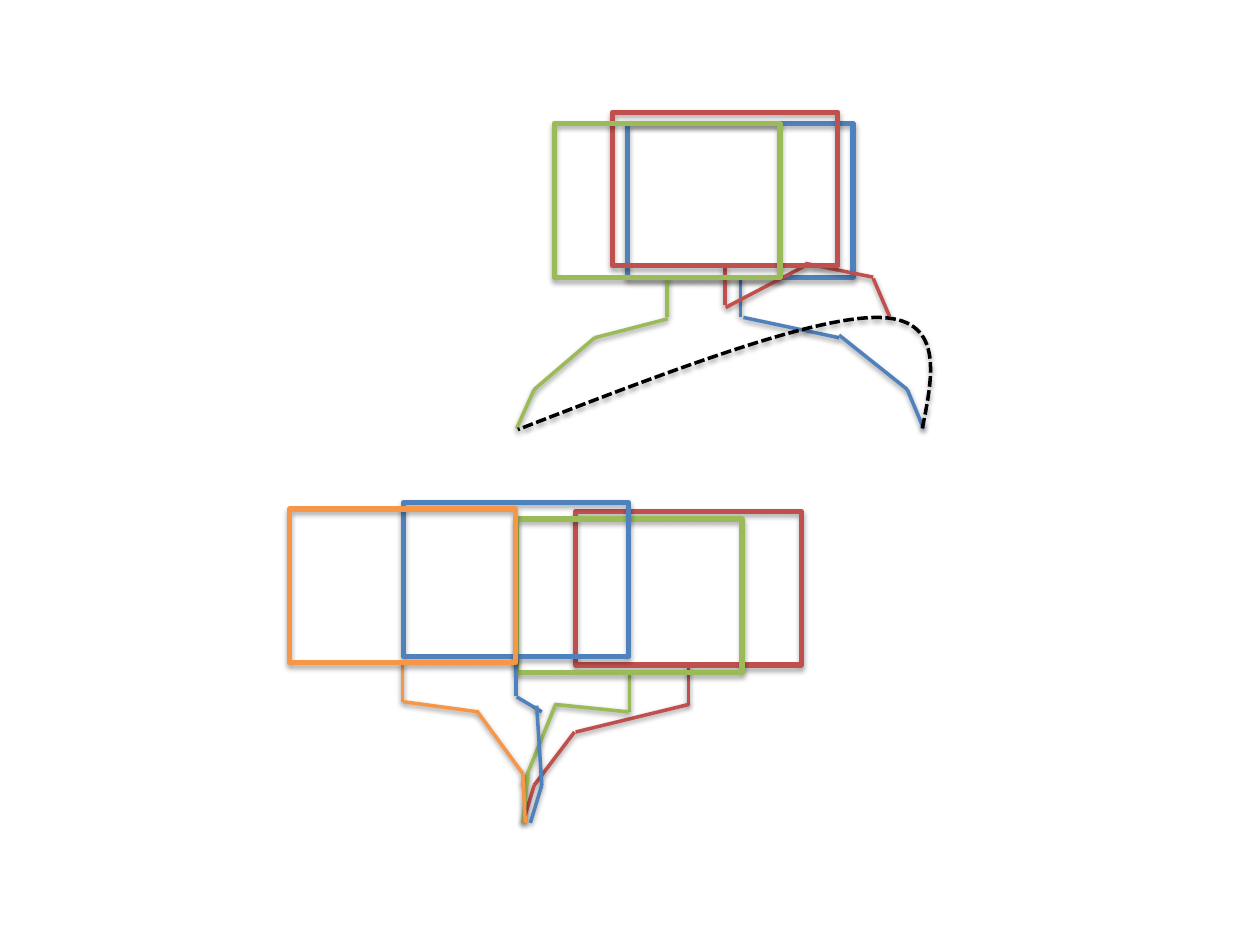
from lxml import etree
from pptx import Presentation
from pptx.dml.color import RGBColor
from pptx.enum import dml, shapes
from pptx.oxml import ns
from pptx.util import Pt

BLUE = RGBColor(0x4F, 0x81, 0xBD)
RED = RGBColor(0xC0, 0x50, 0x4D)
GREEN = RGBColor(0x9B, 0xBB, 0x59)
ORANGE = RGBColor(0xF7, 0x96, 0x46)
BLACK = RGBColor(0, 0, 0)

BOX_WIDTH, BOX_HEIGHT, STEM = 128.9, 87.8, 22.5

UPPER_FIGURES = [
    (BLUE, (358.6, 70.6), [
        [(424.8, 181.4), (479.5, 193)],
        [(479.5, 191.5), (518.4, 222.5), (527.8, 244.8)]]),
    (RED, (349.9, 64.1), [
        [(414.7, 175.7), (460.1, 151.9)],
        [(460.1, 150.5), (499, 158.4)],
        [(499, 159.1), (508.3, 180.7)]]),
    (GREEN, (316.8, 70.6), [
        [(381.6, 182.2), (339.8, 193), (305.3, 222.5), (295.2, 244.8)]]),
]
LOWER_FIGURES = [
    (RED, (329, 292.3), [
        [(393.8, 402.5), (329, 418.3)],
        [(328.3, 418.3), (305.3, 448.6), (298.8, 470.2)]]),
    (GREEN, (295.2, 296.6), [
        [(359.3, 406.8), (316.8, 402.5)],
        [(317.5, 402.5), (298.8, 448.6)],
        [(301.7, 442.1), (298.8, 470.2)]]),
    (BLUE, (230.4, 287.3), [
        [(295.2, 398.2), (309.6, 406.8)],
        [(306.7, 403.2), (309.6, 448.6), (303.1, 470.2)]]),
    (ORANGE, (165.6, 290.9), [
        [(230.4, 401), (273.6, 406.8)],
        [(272.9, 406.8), (298.8, 442.1), (300.2, 470.2)]]),
]
TRAJECTORY = [
    (527, 244.8),
    (533.5, 213.1), (539.3, 181.4), (501.1, 181.4),
    (462.2, 181.4), (379.4, 213.1), (295.9, 245.5),
]


def add_shadow(shape, distance, opacity):
    effects = etree.SubElement(shape._element.spPr, ns.qn("a:effectLst"))
    shadow = etree.SubElement(effects, ns.qn("a:outerShdw"), {
        "blurRad": str(Pt(3.1)), "dist": str(Pt(distance)),
        "dir": "5400000", "rotWithShape": "0"})
    color = etree.SubElement(shadow, ns.qn("a:srgbClr"), val="000000")
    etree.SubElement(color, ns.qn("a:alpha"), val=str(opacity * 1000))


def style_line(shape, color, width=2, distance=1.6, opacity=38, **formats):
    shape.line.color.rgb = color
    for name, value in {"width": Pt(width), **formats}.items():
        setattr(shape.line, name, value)
    add_shadow(shape, distance, opacity)


def add_box(slide, color, left, top):
    box = slide.shapes.add_shape(
        shapes.MSO_SHAPE.RECTANGLE, Pt(left), Pt(top), Pt(BOX_WIDTH), Pt(BOX_HEIGHT))
    box.fill.background()
    style_line(box, color, width=3, distance=1.8, opacity=35)


def add_figure(slide, color, corner, chains):
    left, top = corner
    center, bottom = left + BOX_WIDTH / 2, top + BOX_HEIGHT
    stem = [(center, bottom), (center, bottom + STEM)]
    for chain in [stem, *chains]:
        for start, end in zip(chain, chain[1:]):
            connector = slide.shapes.add_connector(
                shapes.MSO_CONNECTOR.STRAIGHT, *map(Pt, start + end))
            style_line(connector, color)
    add_box(slide, color, left, top)


def add_curve(slide, points):
    vertices = [(Pt(x), Pt(y)) for x, y in points]
    builder = slide.shapes.build_freeform(*vertices[0])
    builder.add_line_segments(vertices[1:], close=False)
    curve = builder.convert_to_shape()
    segments = list(curve._element.iter(ns.qn("a:lnTo")))
    for index in range(0, len(segments), 3):
        bezier = etree.SubElement(segments[index].getparent(), ns.qn("a:cubicBezTo"))
        for segment in segments[index:index + 3]:
            bezier.append(segment[0])
            segment.getparent().remove(segment)
    curve.fill.background()
    style_line(curve, BLACK, dash_style=dml.MSO_LINE.SQUARE_DOT)


def main():
    presentation = Presentation()
    presentation.slide_width, presentation.slide_height = Pt(720), Pt(540)
    slide = presentation.slides.add_slide(presentation.slide_layouts[6])
    for figure in UPPER_FIGURES:
        add_figure(slide, *figure)
    add_curve(slide, TRAJECTORY)
    for figure in LOWER_FIGURES:
        add_figure(slide, *figure)
    presentation.save("out.pptx")


if __name__ == "__main__":
    main()
